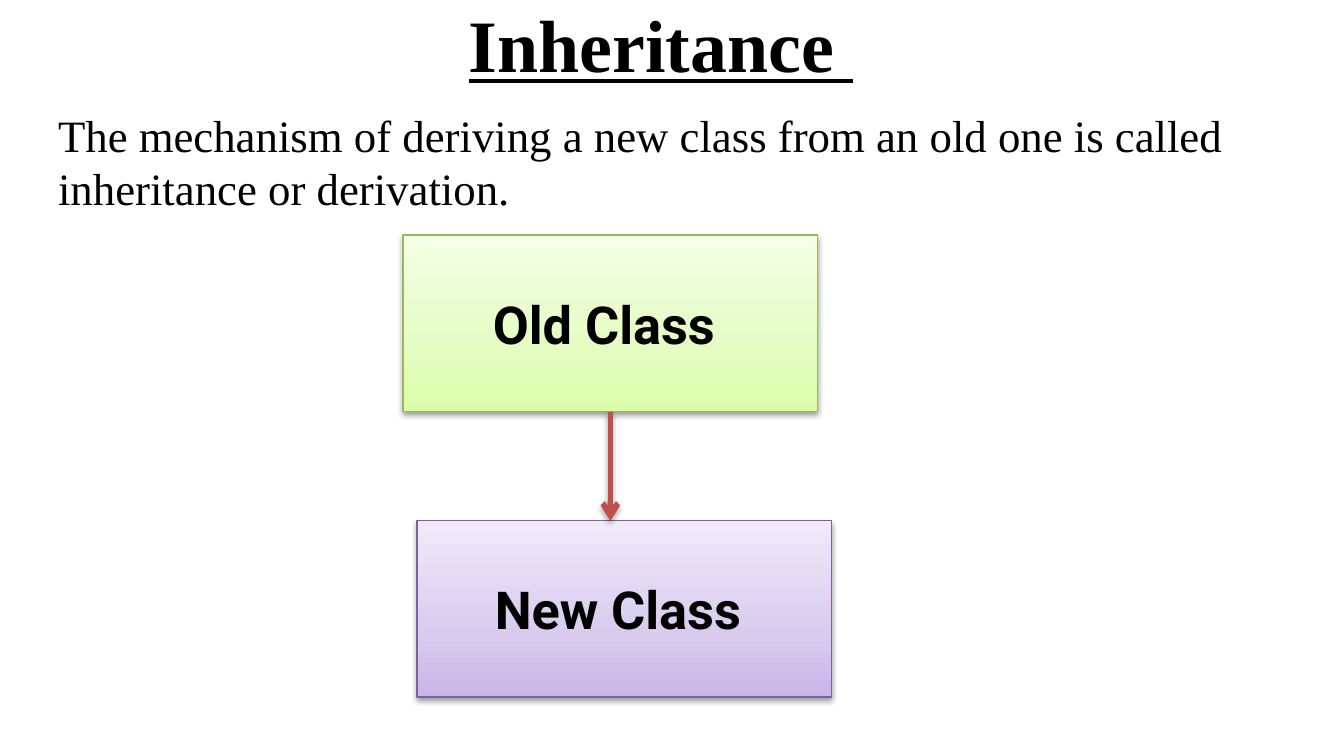
from lxml import etree
from pptx import Presentation
from pptx import util as u
from pptx.dml.color import RGBColor
from pptx.enum import shapes, text
from pptx.oxml import parse_xml
from pptx.oxml.ns import nsdecls, qn

PX = 9525  # 96 px to the inch
COLORS = {
    "text": "000000",
    "arrow": "C0504D",
    "old_line": "98B955",
    "new_line": "7D60A0",
}
GRADIENTS = {  # from bottom to top
    "old": ("DAFDA7", "E4FCC2", "F5FFE7"),
    "new": ("C9B5E8", "D8CBEE", "F0EAF9"),
}
STOPS = (0, 35, 100)
SERIF, SANS = "Times New Roman", "Roboto"


def px(*values):
    return [u.Emu(v * PX) for v in values]


def rgb(name):
    return RGBColor.from_string(COLORS[name])


def write(tf, words, font, size, align, anchor, bold=False):
    tf.word_wrap = True
    tf.auto_size = text.MSO_AUTO_SIZE.NONE
    tf.vertical_anchor = anchor
    p = tf.paragraphs[0]
    p.text = words
    p.alignment = align
    p.font.name, p.font.size, p.font.bold = font, u.Pt(size), bold
    p.font.color.rgb = rgb("text")
    return p


def add_shadow(sp, alpha, distance):
    """Drop a soft shadow straight down; call after the line is set."""
    sp._element.spPr.append(parse_xml(
        f'<a:effectLst {nsdecls("a")}>'
        f'<a:outerShdw blurRad="{u.Pt(3.1)}" dist="{u.Pt(distance)}" dir="5400000" rotWithShape="0">'
        f'<a:srgbClr val="000000"><a:alpha val="{alpha * 1000}"/></a:srgbClr>'
        '</a:outerShdw></a:effectLst>'))


def fill_gradient(sp, colors):
    sp.fill.gradient()
    sp.fill.gradient_angle = 90
    stops = sp._element.spPr.find(qn("a:gradFill")).find(qn("a:gsLst"))
    for stop in list(stops):
        stops.remove(stop)
    for position, color in zip(STOPS, colors):
        gs = etree.SubElement(stops, qn("a:gs"), pos=str(position * 1000))
        etree.SubElement(gs, qn("a:srgbClr"), val=color)


def add_title(slide, box, words):
    title = slide.shapes.title
    title.left, title.top, title.width, title.height = px(*box)
    p = write(title.text_frame, words, SERIF, 39.6,
              text.PP_ALIGN.CENTER, text.MSO_ANCHOR.MIDDLE, bold=True)
    p.font.underline = True


def add_definition(slide, box, words):
    sp = slide.shapes.add_textbox(*px(*box))
    write(sp.text_frame, words, SERIF, 24,
          text.PP_ALIGN.LEFT, text.MSO_ANCHOR.TOP)


def add_class_box(slide, box, words, kind):
    sp = slide.shapes.add_shape(shapes.MSO_SHAPE.RECTANGLE, *px(*box))
    fill_gradient(sp, GRADIENTS[kind])
    sp.line.color.rgb = rgb(f"{kind}_line")
    sp.line.width = u.Pt(0.75)
    add_shadow(sp, 38, 1.6)
    write(sp.text_frame, words, SANS, 28,
          text.PP_ALIGN.CENTER, text.MSO_ANCHOR.MIDDLE, bold=True)
    return sp


def add_arrow(slide, source, target):
    """Run straight down from the source's bottom to the target's top edge."""
    x = source.left + source.width // 2
    line = slide.shapes.add_connector(
        shapes.MSO_CONNECTOR.STRAIGHT, x, source.top + source.height, x, target.top)
    line.begin_connect(source, 2)
    line.line.color.rgb = rgb("arrow")
    line.line.width = u.Pt(3)
    etree.SubElement(line.line._get_or_add_ln(), qn("a:tailEnd"), type="arrow")
    add_shadow(line, 35, 1.8)


def add_inheritance_diagram(slide, box):
    left, top, width, height = box
    w, h = 296, 126
    old = add_class_box(slide, (left, top, w, h), "Old Class ", "old")
    new = add_class_box(slide, (left + width - w, top + height - h, w, h), "New Class ", "new")
    add_arrow(slide, old, new)


def main():
    prs = Presentation()
    prs.slide_width, prs.slide_height = px(960, 540)
    slide = prs.slides.add_slide(prs.slide_layouts[5])
    add_title(slide, (296, 1, 352, 60), "Inheritance ")
    add_definition(slide, (32, 72, 888, 102),
                   "The mechanism of deriving a new class from an old one "
                   "is called inheritance or derivation.")
    add_inheritance_diagram(slide, (288, 168, 306, 330))
    prs.save("out.pptx")


if __name__ == "__main__":
    main()
